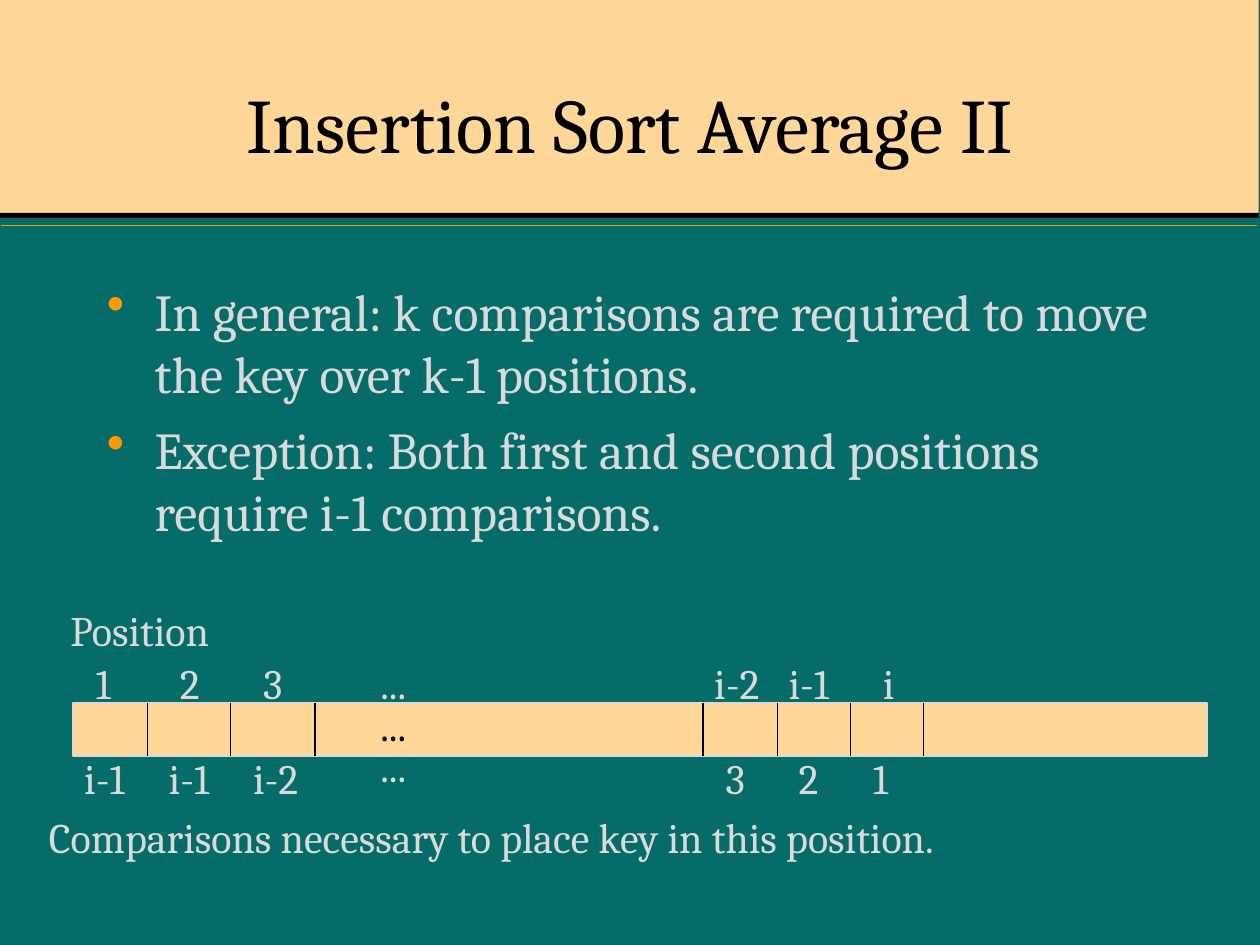
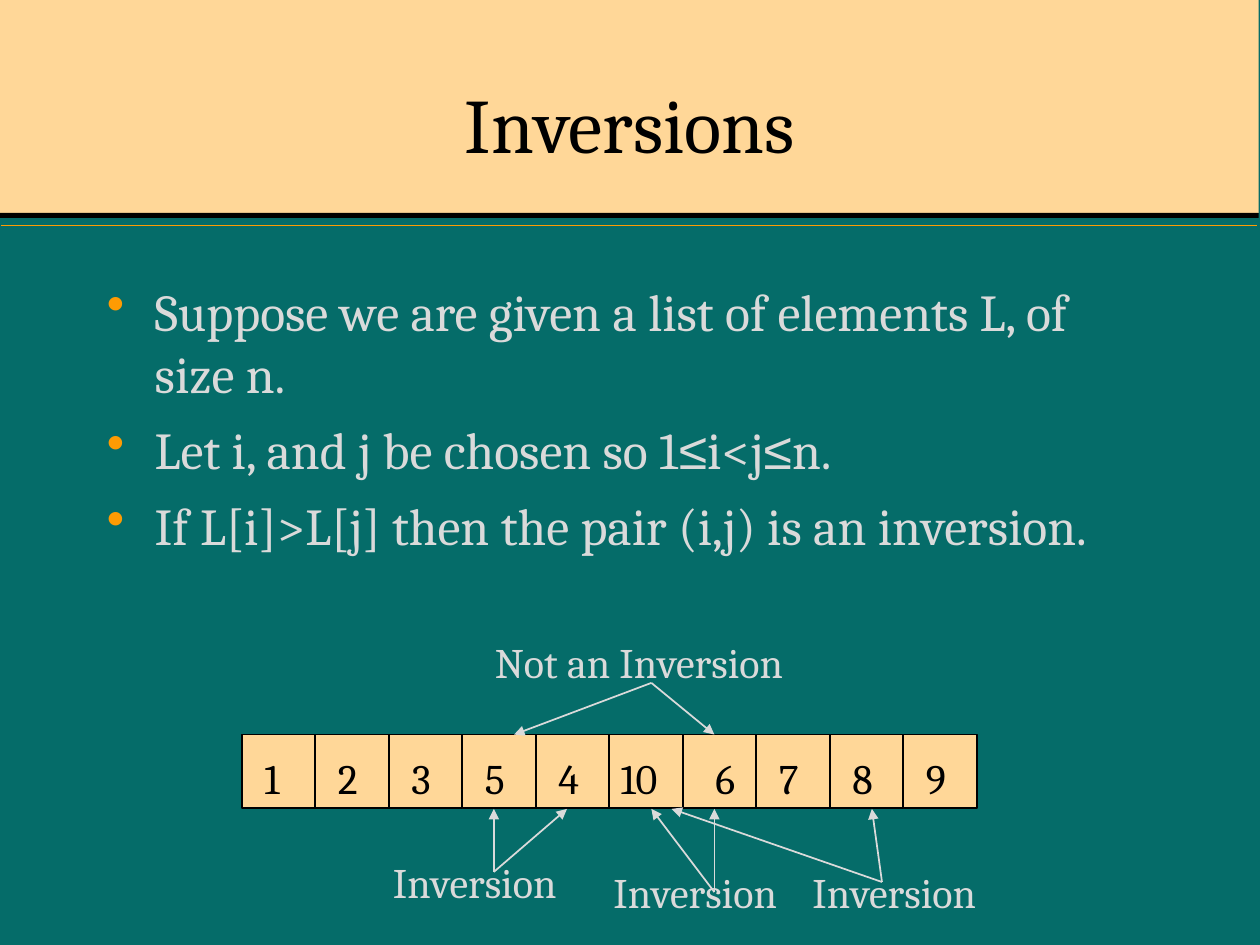
from dataclasses import dataclass
from itertools import groupby

from lxml import etree
from pptx import Presentation
from pptx.dml.color import RGBColor
from pptx.enum.shapes import MSO_CONNECTOR, MSO_SHAPE
from pptx.enum.text import MSO_ANCHOR, MSO_AUTO_SIZE, PP_ALIGN
from pptx.oxml.ns import qn
from pptx.presentation import Presentation as Deck
from pptx.slide import Slide
from pptx.text.text import TextFrame, _Paragraph as Paragraph
from pptx.util import Inches, Pt

RECTANGLE = MSO_SHAPE.RECTANGLE
STRAIGHT = MSO_CONNECTOR.STRAIGHT
MIDDLE = MSO_ANCHOR.MIDDLE
TOP = MSO_ANCHOR.TOP
CENTER = PP_ALIGN.CENTER
FIT_SHAPE = MSO_AUTO_SIZE.SHAPE_TO_FIT_TEXT

TEAL = RGBColor(0x05, 0x6C, 0x69)
SAND = RGBColor(0xFF, 0xD7, 0x98)
ORANGE = RGBColor(0xFE, 0x9B, 0x03)
SILVER = RGBColor(0xDA, 0xDA, 0xDA)
BLACK = RGBColor(0, 0, 0)

TEXT_FONT = "Cambria"
SYMBOL_FONT = "Arial"
LABEL_HEIGHT = 0.5
DIGIT_WIDTH = 0.38
DOTS_WIDTH = 0.45
INDEX_WIDTH = 0.59
INVERSION_WIDTH = 1.73


@dataclass(frozen=True)
class Box:
    left: float
    top: float
    width: float
    height: float

    def lengths(self) -> tuple:
        return tuple(Inches(v) for v in (self.left, self.top, self.width, self.height))


@dataclass(frozen=True)
class Label:
    text: str
    left: float
    width: float = DIGIT_WIDTH


@dataclass(frozen=True)
class Pair:
    """Two arrows that fan out from one caption."""
    caption: Label
    caption_top: float
    start: tuple[float, float]
    ends: tuple[float, float]
    end_y: float


# Drawing functions
def add_rect(slide: Slide, box: Box, fill: RGBColor, outline: RGBColor | None = None) -> None:
    rect = slide.shapes.add_shape(RECTANGLE, *box.lengths())
    rect.shadow.inherit = False
    rect.fill.solid()
    rect.fill.fore_color.rgb = fill
    if outline is None:
        rect.line.fill.background()
    else:
        rect.line.color.rgb = outline
        rect.line.width = Pt(1)


def add_line(slide: Slide, start: tuple[float, float], end: tuple[float, float],
             color: RGBColor, arrow: bool = False) -> None:
    line = slide.shapes.add_connector(STRAIGHT, *(Inches(v) for v in start + end))
    line.line.color.rgb = color
    line.line.width = Pt(1)
    if arrow:
        etree.SubElement(line.line._get_or_add_ln(), qn("a:tailEnd"), type="triangle")
    etree.SubElement(line._element.spPr, qn("a:effectLst"))


def add_text_box(slide: Slide, box: Box, wrap: bool, anchor: MSO_ANCHOR = TOP) -> TextFrame:
    frame = slide.shapes.add_textbox(*box.lengths()).text_frame
    frame.word_wrap = wrap
    frame.vertical_anchor = anchor
    return frame


def style(item, size: float, color: RGBColor, font: str = TEXT_FONT) -> None:
    item.font.name = font
    item.font.size = Pt(size)
    item.font.color.rgb = color


def add_label(slide: Slide, label: Label, top: float, color: RGBColor = SILVER) -> None:
    frame = add_text_box(slide, Box(label.left, top, label.width, LABEL_HEIGHT), wrap=False)
    frame.auto_size = FIT_SHAPE
    frame.text = label.text
    style(frame.paragraphs[0].runs[0], 24, color)


def add_bullet(paragraph: Paragraph) -> None:
    properties = paragraph._p.get_or_add_pPr()
    properties.set("marL", str(Inches(0.38)))
    properties.set("indent", str(-Inches(0.38)))
    bullet_color = etree.SubElement(properties, qn("a:buClr"))
    etree.SubElement(bullet_color, qn("a:srgbClr"), val=str(ORANGE))
    etree.SubElement(properties, qn("a:buChar"), char="•")


def add_points(slide: Slide, points: list[str], height: float) -> None:
    frame = add_text_box(slide, Box(0.75, 2.17, 8.5, height), wrap=True)
    for number, point in enumerate(points):
        paragraph = frame.add_paragraph() if number else frame.paragraphs[0]
        add_bullet(paragraph)
        if number:
            paragraph.space_before = Pt(8)
        # The comparison sign is set in its own font
        for is_sign, letters in groupby(point, lambda letter: letter == "≤"):
            run = paragraph.add_run()
            run.text = "".join(letters)
            style(run, 29.6, SILVER, SYMBOL_FONT if is_sign else TEXT_FONT)


def add_titled_slide(deck: Deck, title: str) -> Slide:
    slide = deck.slides.add_slide(deck.slide_layouts[6])
    # Title band with its two rules
    add_rect(slide, Box(0, 0, 9.99, 1.69), SAND)
    add_rect(slide, Box(0, 1.69, 9.99, 0.04), BLACK)
    add_line(slide, (0.01, 1.79), (9.98, 1.79), ORANGE)
    frame = add_text_box(slide, Box(0.75, 0.37, 8.5, 1.21), wrap=True, anchor=MIDDLE)
    frame.text = title
    frame.paragraphs[0].alignment = CENTER
    style(frame.paragraphs[0].runs[0], 44, BLACK)
    return slide


# Slides
def build_average_slide(deck: Deck) -> None:
    slide = add_titled_slide(deck, "Insertion Sort Average II")
    add_points(slide, [
        "In general: k comparisons are required to move the key over k-1 positions.",
        "Exception: Both first and second positions require i-1 comparisons.",
    ], 2.42)

    # Array with its cell dividers
    array = Box(0.58, 5.58, 9, 0.42)
    add_rect(slide, array, SAND, SILVER)
    for x in (1.17, 1.83, 2.5, 5.58, 6.17, 6.75, 7.33):
        add_line(slide, (x, array.top), (x, array.top + array.height), BLACK)

    # Positions above the array, comparisons below it
    dots = Label("...", 2.92, DOTS_WIDTH)
    positions = [
        Label("1", 0.66), Label("2", 1.33), Label("3", 1.99), dots,
        Label("i-2", 5.57, INDEX_WIDTH), Label("i-1", 6.16, INDEX_WIDTH), Label("i", 6.91, 0.3),
    ]
    comparisons = [
        Label("i-1", 0.57, INDEX_WIDTH), Label("i-1", 1.24, INDEX_WIDTH),
        Label("i-2", 1.91, INDEX_WIDTH),
        Label("3", 5.66), Label("2", 6.24), Label("1", 6.83),
    ]
    for row, top in ((positions, 5.17), (comparisons, 5.92)):
        for label in row:
            add_label(slide, label, top)
    add_label(slide, dots, 5.83)
    add_label(slide, dots, 5.5, BLACK)
    add_label(slide, Label("Position", 0.46, 1.48), 4.75)
    add_label(slide, Label("Comparisons necessary to place key in this position.", 0.29, 8.44), 6.39)


def build_inversions_slide(deck: Deck) -> None:
    slide = add_titled_slide(deck, "Inversions")
    add_points(slide, [
        "Suppose we are given a list of elements L, of size n.",
        "Let i, and j be chosen so 1≤i<j≤n.",
        "If L[i]>L[j] then the pair (i,j) is an inversion.",
    ], 2.92)

    # List cells, each a seventh of a foot-rule step apart, then their values
    list_left, list_top, cell = 1.92, 5.83, 7 / 12
    values = ["1", "2", "3", "5", "4", "10", "6", "7", "8", "9"]
    for index in range(len(values)):
        add_rect(slide, Box(list_left + index * cell, list_top, cell, cell), SAND, BLACK)
    shifts = {"10": -0.01, "6": 0.16}
    for index, value in enumerate(values):
        left = list_left + index * cell + shifts.get(value, 0.08)
        width = 0.57 if len(value) > 1 else DIGIT_WIDTH
        add_label(slide, Label(value, left, width), 5.92, BLACK)

    # Captions with arrows to the pairs they describe
    list_bottom = 6.42
    pairs = [
        Pair(Label("Inversion", 3.02, INVERSION_WIDTH), 6.75, (3.92, 6.92), (3.92, 4.5), list_bottom),
        Pair(Label("Inversion", 4.77, INVERSION_WIDTH), 6.83, (5.67, 7.08), (5.17, 5.67), list_bottom),
        Pair(Label("Inversion", 6.35, INVERSION_WIDTH), 6.83, (7, 7), (5.33, 6.92), list_bottom),
        Pair(Label("Not an Inversion", 3.83, 2.87), 5, (5.17, 5.42), (4.08, 5.67), list_top),
    ]
    for pair in pairs:
        add_label(slide, pair.caption, pair.caption_top)
        for x in pair.ends:
            add_line(slide, pair.start, (x, pair.end_y), SILVER, arrow=True)


def main() -> None:
    deck = Presentation()
    deck.slide_width, deck.slide_height = Inches(10), Inches(7.5)
    background = deck.slide_master.background.fill
    background.solid()
    background.fore_color.rgb = TEAL
    build_average_slide(deck)
    build_inversions_slide(deck)
    deck.save("out.pptx")


if __name__ == "__main__":
    main()
